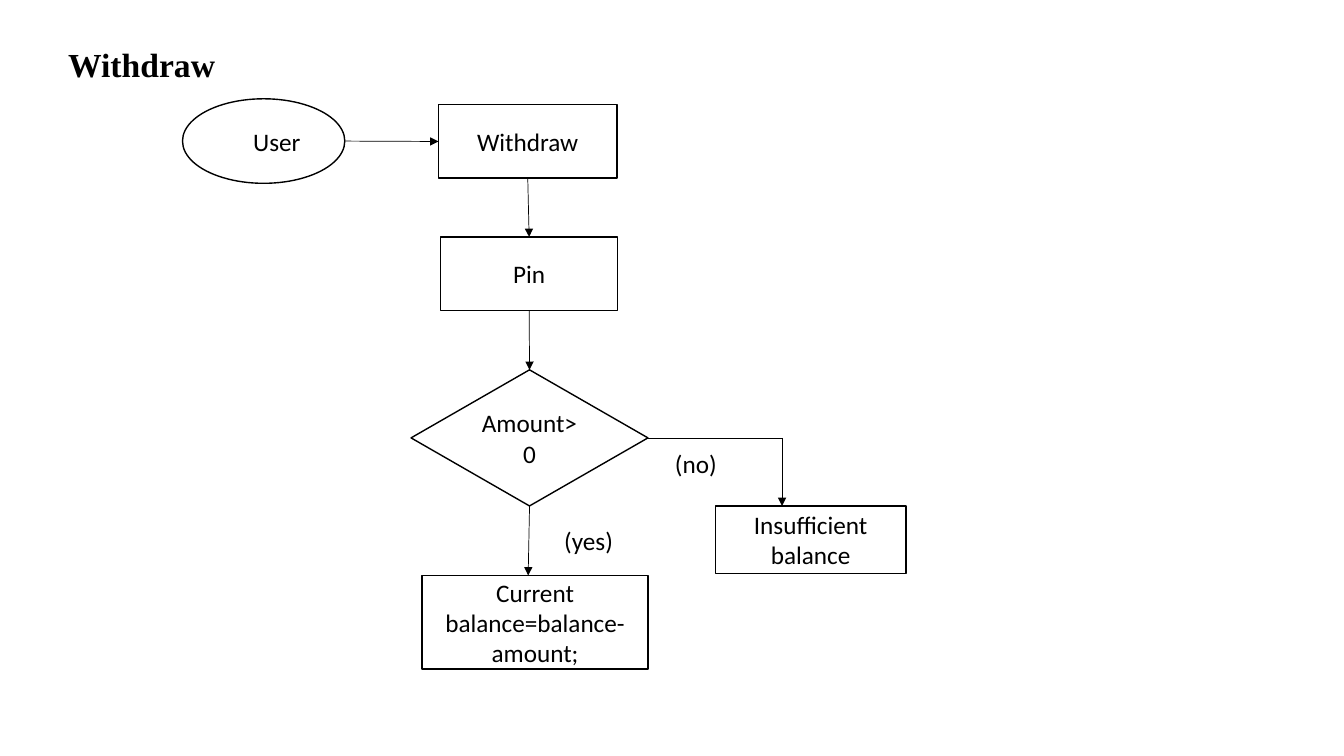
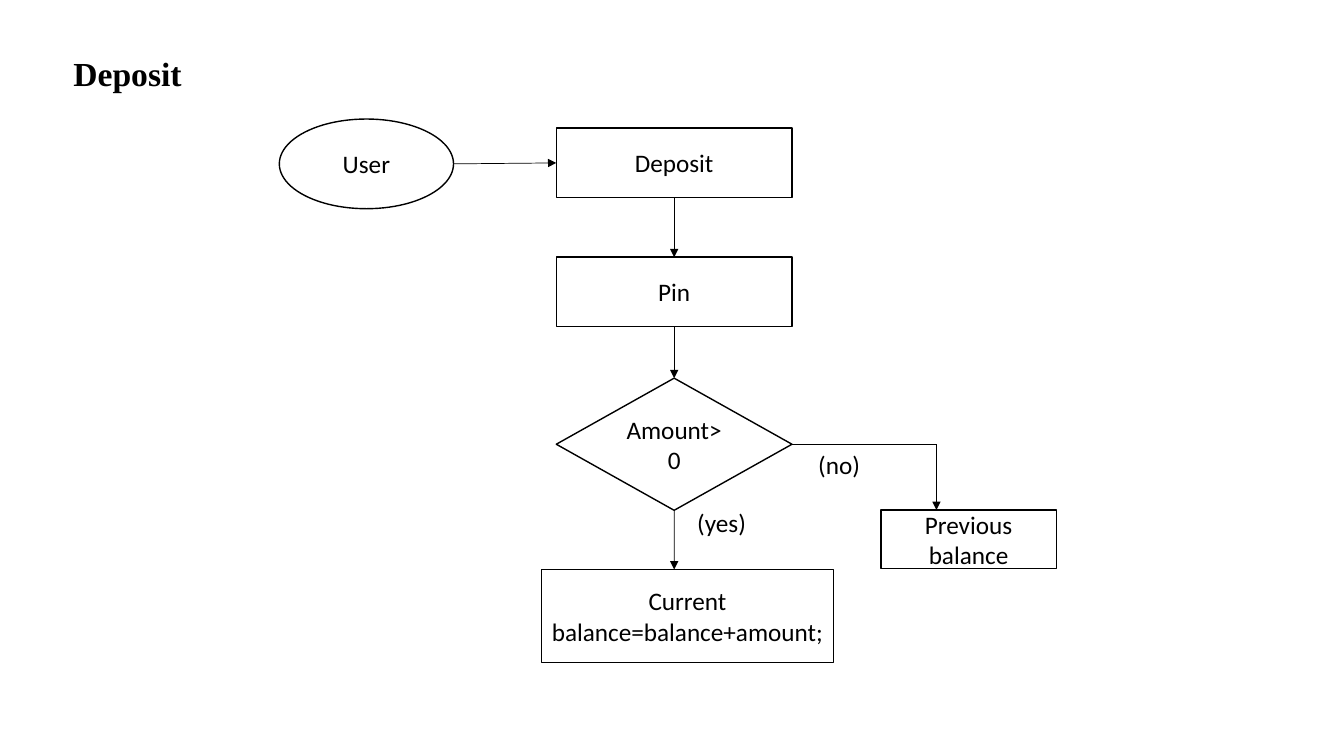
from lxml import etree
from pptx import Presentation
from pptx.dml.color import RGBColor
from pptx.enum.shapes import MSO_CONNECTOR as Link, MSO_SHAPE as Shape
from pptx.enum.text import MSO_ANCHOR as Anchor, PP_ALIGN as Align
from pptx.oxml.ns import qn
from pptx.util import Cm, Pt

BLACK = RGBColor(0x00, 0x00, 0x00)
WHITE = RGBColor(0xFF, 0xFF, 0xFF)

TITLE_FONT = {"name": "Times New Roman", "size": Pt(24), "bold": True}
BODY_FONT = {"name": "Calibri", "size": Pt(18), "bold": False}
TOP, LEFT, BOTTOM, RIGHT = range(4)

# Content: places are left, top, width, height in centimetres
FLOWS = [
    {
        "title": ("Withdraw", (1.47, 0.97, 9.17, 1.27)),
        "nodes": {
            "user": (Shape.OVAL, "User", (4.6, 2.49, 4.09, 2.13)),
            "action": (Shape.RECTANGLE, "Withdraw", (11.05, 2.64, 4.5, 1.85)),
            "pin": (Shape.RECTANGLE, "Pin", (11.1, 5.97, 4.47, 1.85)),
            "check": (Shape.FLOWCHART_DECISION, "Amount>0", (10.36, 9.32, 5.97, 3.43)),
            "success": (Shape.RECTANGLE, "Current balance=balance-amount;",
                        (10.64, 14.5, 5.69, 2.36)),
            "failure": (Shape.FLOWCHART_PROCESS, "Insufficient\nbalance",
                        (18.03, 12.75, 4.8, 1.7)),
        },
        "labels": [("(yes)", (13.97, 13.11, 2.97, 1.02)),
                   ("(no)", (16.76, 11.18, 2.01, 1.02))],
        "user_indent": 0.66,
        "yes_x": 13.31,
        "no_x": 19.71,
    },
    {
        "title": ("Deposit", (1.6, 1.22, 8.08, 1.27)),
        "nodes": {
            "user": (Shape.OVAL, "User", (7.04, 3, 4.39, 2.26)),
            "action": (Shape.FLOWCHART_PROCESS, "Deposit", (14.02, 3.23, 5.94, 1.75)),
            "pin": (Shape.RECTANGLE, "Pin", (14.02, 6.48, 5.94, 1.75)),
            "check": (Shape.FLOWCHART_DECISION, "Amount>0", (14.02, 9.53, 5.94, 3.33)),
            "success": (Shape.RECTANGLE, "Current balance=balance+amount;",
                        (13.64, 14.35, 7.37, 2.34)),
            "failure": (Shape.RECTANGLE, "Previous\nbalance", (22.2, 12.85, 4.42, 1.47)),
        },
        "labels": [("(yes)", (17.32, 12.67, 2.62, 1.02)),
                   ("(no)", (20.37, 11.2, 2.87, 1.02))],
        "user_indent": 0,
        "yes_x": 16.99,
        "no_x": 23.6,
    },
]


def write_text(shape, text, font, align):
    frame = shape.text_frame
    frame.word_wrap = True
    frame.text = text
    for para in frame.paragraphs:
        para.alignment = align
        for span in para.runs:
            span.font.color.rgb = BLACK
            for name, value in font.items():
                setattr(span.font, name, value)


def add_label(page, text, place, font):
    box = page.shapes.add_textbox(*map(Cm, place))
    write_text(box, text, font, Align.LEFT)


def add_node(page, kind, text, place):
    node = page.shapes.add_shape(kind, *map(Cm, place))
    node.shadow.inherit = False
    node.fill.solid()
    node.fill.fore_color.rgb = WHITE
    node.line.color.rgb = BLACK
    node.line.width = Pt(1)
    node.text_frame.vertical_anchor = Anchor.MIDDLE
    write_text(node, text, BODY_FONT, Align.CENTER)
    return node


def add_line(page, start, end, arrow=True):
    """Each end is a (node, side) pair to join or an (x, y) point."""
    line = page.shapes.add_connector(Link.STRAIGHT, 0, 0, 0, 0)
    joined = [hasattr(place[0], "text_frame") for place in (start, end)]
    if joined[0]:
        line.begin_connect(*start)
    else:
        line.begin_x, line.begin_y = start
    if joined[1]:
        line.end_connect(*end)
    else:
        line.end_x, line.end_y = end
    line.line.color.rgb = BLACK
    line.line.width = Pt(0.5)
    if arrow:
        etree.SubElement(line.line._get_or_add_ln(), qn("a:tailEnd"), type="triangle")
    etree.SubElement(line._element.spPr, qn("a:effectLst"))


def add_flow(page, flow):
    nodes = {name: add_node(page, *node) for name, node in flow["nodes"].items()}
    user, check = nodes["user"], nodes["check"]
    user.text_frame.margin_left += Cm(flow["user_indent"])

    # Main path
    user_right = (user.left + user.width, user.top + user.height // 2)
    add_line(page, user_right, (nodes["action"], LEFT))
    for upper, lower in (("action", "pin"), ("pin", "check")):
        add_line(page, (nodes[upper], BOTTOM), (nodes[lower], TOP))

    # Yes and no branches
    add_line(page, (check, BOTTOM), (Cm(flow["yes_x"]), nodes["success"].top))
    corner = (Cm(flow["no_x"]), check.top + check.height // 2)
    add_line(page, (check, RIGHT), corner, arrow=False)
    add_line(page, corner, (corner[0], nodes["failure"].top))

    # Branch labels and title
    for text, place in flow["labels"]:
        add_label(page, text, place, BODY_FONT)
    add_label(page, *flow["title"], TITLE_FONT)


def main():
    deck = Presentation()
    deck.slide_width, deck.slide_height = Cm(33.87), Cm(19.05)
    for flow in FLOWS:
        add_flow(deck.slides.add_slide(deck.slide_layouts[6]), flow)
    deck.save("out.pptx")


if __name__ == "__main__":
    main()
